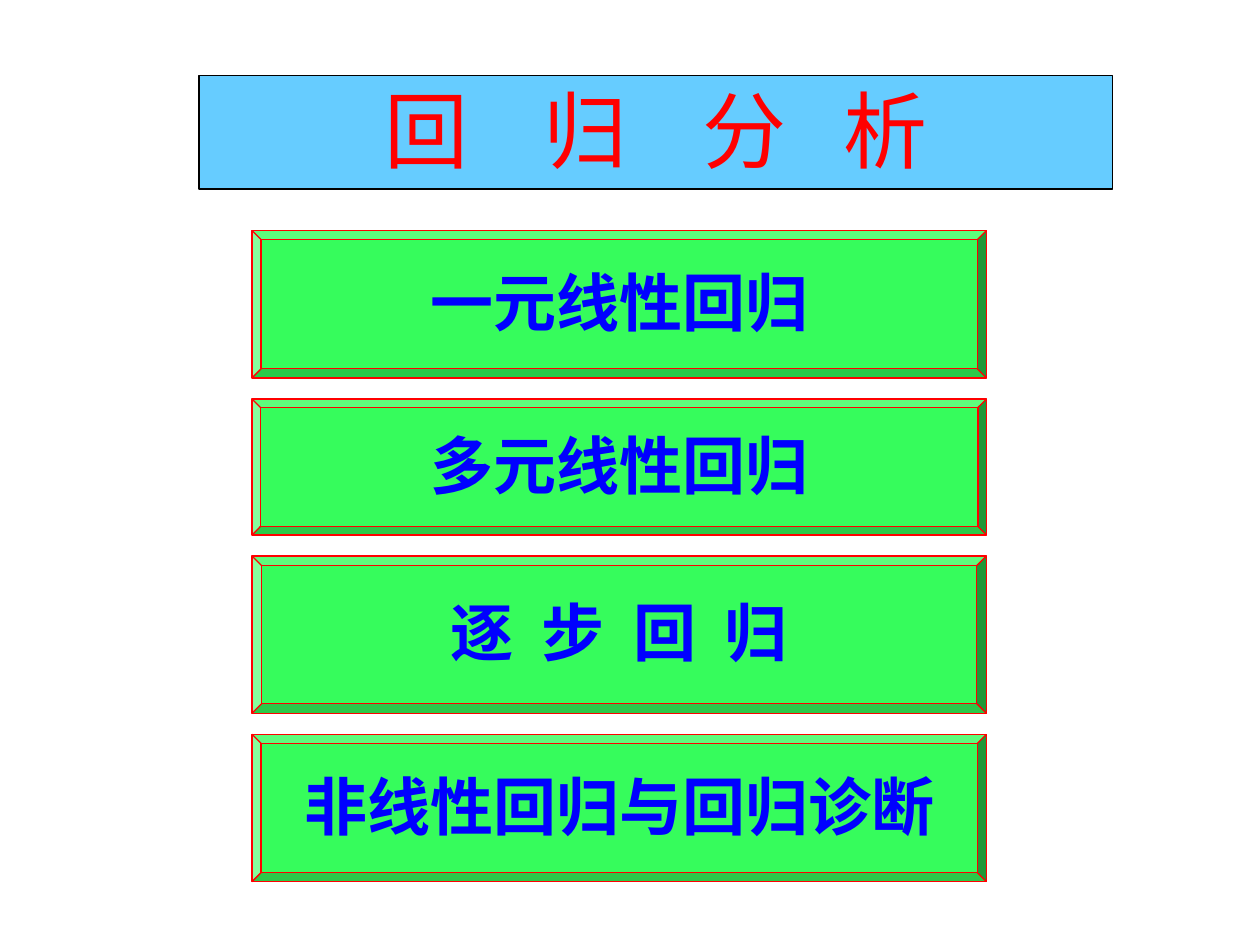
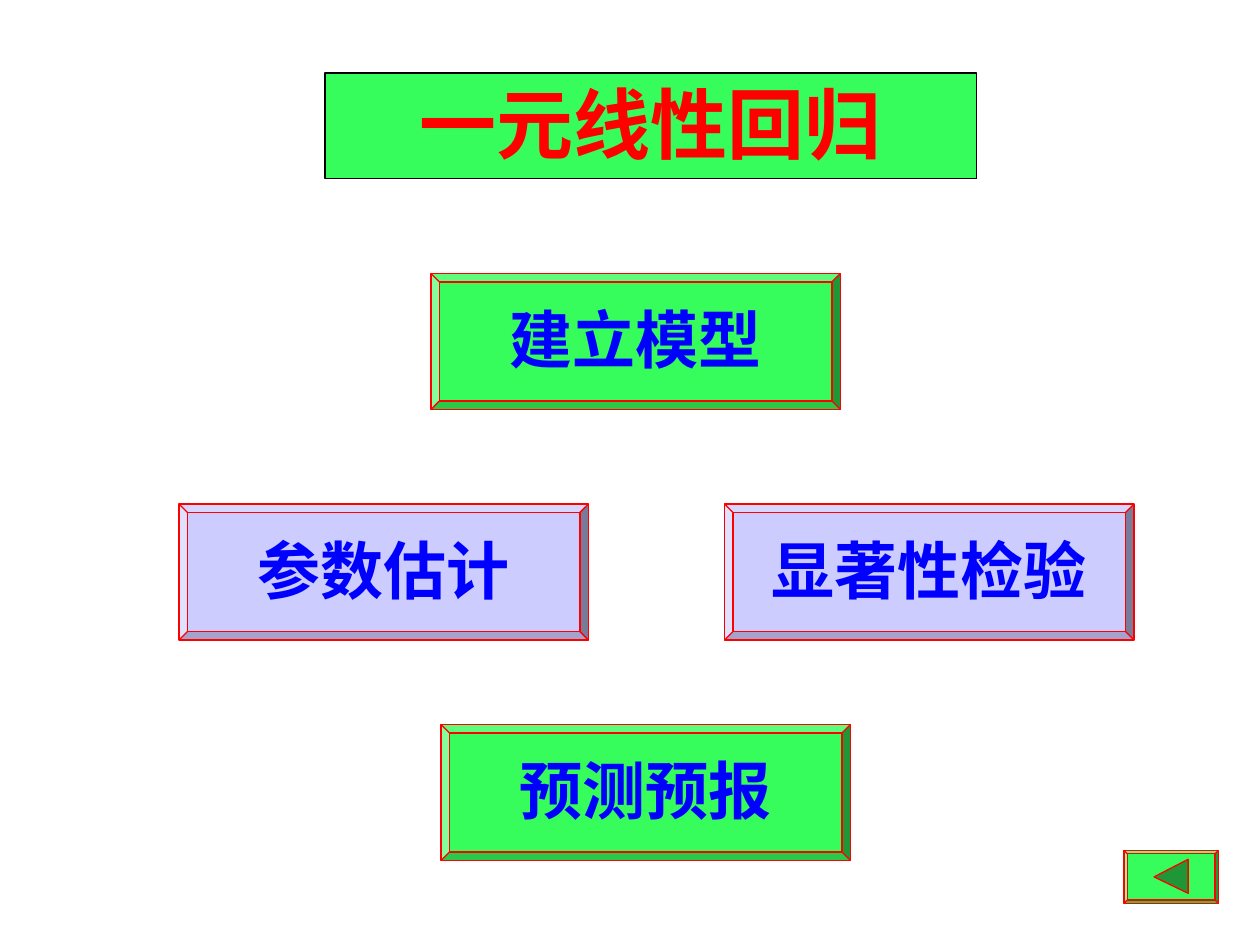
import pptx
import pptx.dml.color
import pptx.enum.shapes
import pptx.enum.text
import pptx.util
from pptx.util import Inches

COLORS = {
    "sky": "66CCFF",
    "green": "36FC5C",
    "dark green": "209737",
    "lavender": "CCCCFF",
    "red": "FF0000",
    "blue": "0000FF",
    "black": "000000",
}
CJK_FONT = "Noto Sans CJK SC"
LATIN_FONT = "Times New Roman"
LINE_WIDTH = 0.74
BEVEL_DEPTH = 0.0625
BUTTON_SIZE = (3.25, 1.08)


def color(name):
    return pptx.dml.color.RGBColor.from_string(COLORS[name])


def paint(shape, fill, line):
    shape.shadow.inherit = False
    shape.fill.solid()
    shape.fill.fore_color.rgb = color(fill)
    shape.line.color.rgb = color(line)
    shape.line.width = pptx.util.Pt(LINE_WIDTH)


def add_box(slide, kind, box, fill, line):
    shape = slide.shapes.add_shape(kind, *map(Inches, box))
    paint(shape, fill, line)
    return shape


def write(shape, text, size, text_color, bold=True, font=CJK_FONT, gaps=()):
    """Centre the text; gaps are the tracking in points after each letter."""
    frame = shape.text_frame
    frame.word_wrap = False
    frame.vertical_anchor = pptx.enum.text.MSO_ANCHOR.MIDDLE
    frame.margin_top, frame.margin_bottom = Inches(0), Inches(0.05)
    paragraph = frame.paragraphs[0]
    paragraph.alignment = pptx.enum.text.PP_ALIGN.CENTER
    if gaps:
        letters = text.split(" ")
        pieces = [letter + " " for letter in letters[:-1]] + letters[-1:]
    else:
        pieces = [text]
    for index, piece in enumerate(pieces):
        run = paragraph.add_run()
        run.text = piece
        run.font.size = pptx.util.Pt(size)
        run.font.bold = bold
        run.font.name = font
        run.font.color.rgb = color(text_color)
        properties = run.font._element
        if index < len(gaps):
            properties.set("spc", str(round(gaps[index] * 100)))
        east_asian = properties.makeelement(pptx.oxml.ns.qn("a:ea"), {"typeface": CJK_FONT})
        properties.find(pptx.oxml.ns.qn("a:latin")).addnext(east_asian)


def add_title(slide, box, fill, text, size, **style):
    shape = add_box(slide, pptx.enum.shapes.MSO_SHAPE.RECTANGLE, box, fill, "black")
    write(shape, text, size, "red", **style)


def add_bevel(slide, box, fill="green"):
    shape = add_box(slide, pptx.enum.shapes.MSO_SHAPE.BEVEL, box, fill, "red")
    shape.adjustments[0] = BEVEL_DEPTH
    return shape


def add_button(slide, box, text, fill="green", gaps=()):
    write(add_bevel(slide, box, fill), text, 36, "blue", gaps=gaps)


def add_back_button(slide):
    add_bevel(slide, (8.92, 6.75, 0.75, 0.42))
    builder = slide.shapes.build_freeform(Inches(9.16), Inches(6.96))
    corners = [(Inches(9.43), Inches(6.82)), (Inches(9.43), Inches(7.09))]
    builder.add_line_segments(corners, close=True)
    paint(builder.convert_to_shape(), "dark green", "red")


def build_contents(slide):
    add_title(slide, (1.58, 0.6, 7.25, 0.9), "sky", "回 归 分 析", 48,
              bold=False, font=LATIN_FONT, gaps=(16.1, 16.1, 10.75))
    # Chapter buttons, stacked with equal gaps
    chapters = [
        ("一元线性回归", 1.17, ()),
        ("多元线性回归", 1.08, ()),
        ("逐 步 回 归", 1.25, (4, 4, 4)),
        ("非线性回归与回归诊断", 1.17, ()),
    ]
    top = 1.83
    for text, height, gaps in chapters:
        add_button(slide, (2, top, 5.83, height), text, gaps=gaps)
        top += height + 0.166


def build_simple_regression(slide):
    add_title(slide, (2.58, 0.58, 5.17, 0.84), "green", "一元线性回归", 44)
    # Topic buttons, all one size
    topics = [
        ("建立模型", 3.42, 2.17, "green"),
        ("参数估计", 1.42, 4, "lavender"),
        ("显著性检验", 5.75, 4, "lavender"),
        ("预测预报", 3.5, 5.75, "green"),
    ]
    for text, left, top, fill in topics:
        add_button(slide, (left, top, *BUTTON_SIZE), text, fill)
    add_back_button(slide)


def main():
    presentation = pptx.Presentation()
    presentation.slide_width = Inches(10)
    presentation.slide_height = Inches(7.5)
    blank = presentation.slide_layouts[6]
    for build in (build_contents, build_simple_regression):
        build(presentation.slides.add_slide(blank))
    presentation.save("out.pptx")


main()
